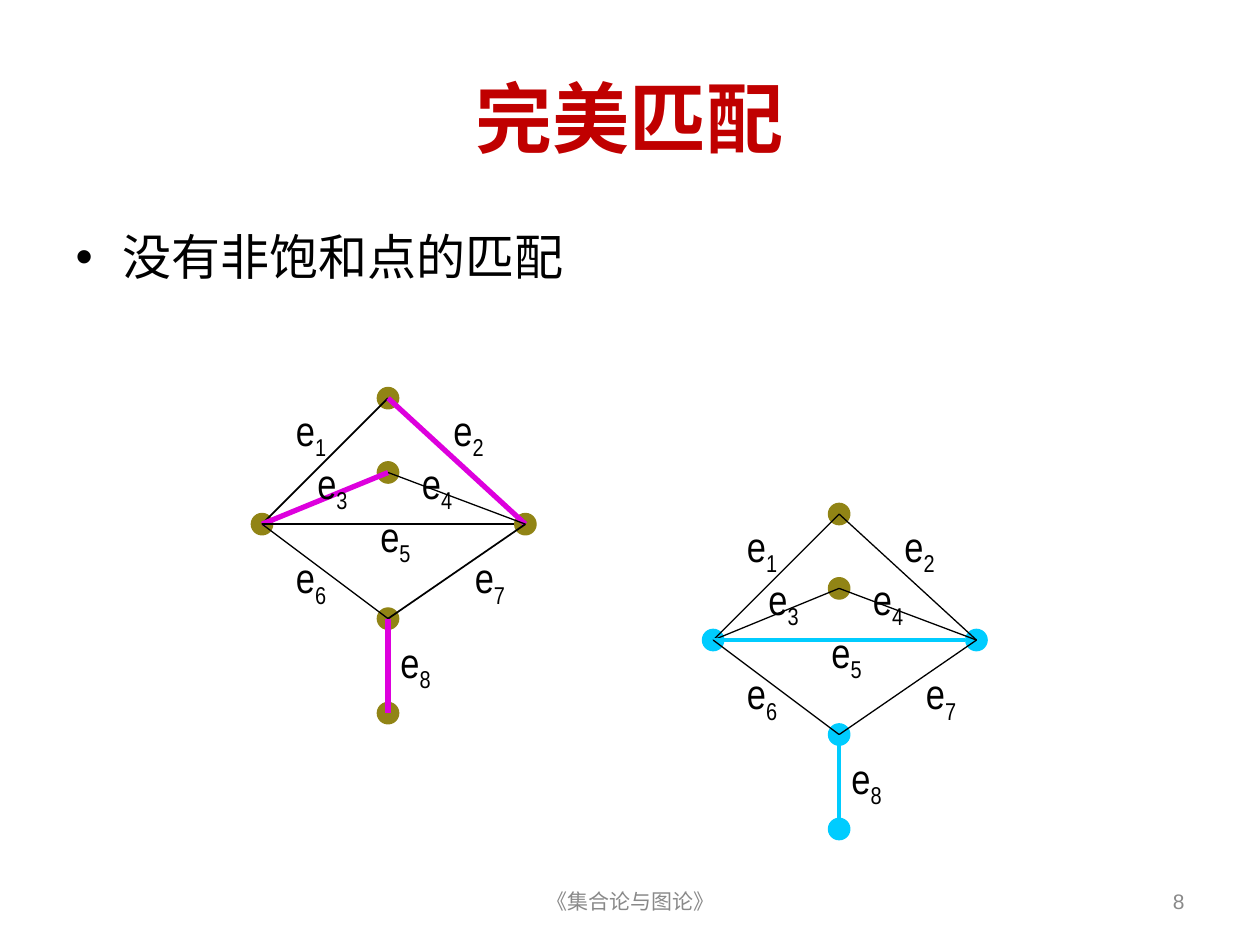
from lxml.etree import SubElement
from pptx import Presentation
from pptx.dml.color import RGBColor
from pptx.enum.shapes import MSO_CONNECTOR, MSO_SHAPE
from pptx.enum.text import MSO_ANCHOR, MSO_AUTO_SIZE, PP_ALIGN
from pptx.oxml.ns import qn
from pptx.util import Inches, Pt

BLACK, OLIVE, MAGENTA, CYAN, GREY = "000000", "918415", "DD00DD", "00CCFF", "898989"
NODE_SIZE = 0.17
NODES = {"top": (1.08, 0.08), "middle": (1.08, 0.67), "left": (0.08, 1.08),
         "right": (2.17, 1.08), "bottom": (1.08, 1.83), "tail": (1.08, 2.58)}
POINTS = {**NODES, "right_rim": (2.08, 1.08)}
EDGES = {1: ("left", "top"), 2: ("right", "top"), 3: ("left", "middle"),
         4: ("right", "middle"), 5: ("left", "right_rim"), 6: ("bottom", "left"),
         7: ("bottom", "right"), 8: ("bottom", "tail")}
LABELS = {1: (0.25, 0.08), 2: (1.5, 0.08), 3: (0.42, 0.5), 4: (1.25, 0.5),
          5: (0.92, 0.92), 6: (0.25, 1.25), 7: (1.67, 1.25), 8: (1.08, 1.92)}


def rgb(value):
    """Turn a hex string into a colour."""
    return RGBColor.from_string(value)


def place(element, left, top, width, height):
    """Position and size an element in inches."""
    element.left, element.top = Inches(left), Inches(top)
    element.width, element.height = Inches(width), Inches(height)


def style(paragraph, size, font_name, color, bold=False):
    """Set the font of a whole paragraph."""
    font = paragraph.font
    font.size, font.name, font.bold = Pt(size), font_name, bold
    font.color.rgb = rgb(color)


def fill_placeholder(placeholder, box, text, size, color, bold=False):
    """Move a placeholder and give it one formatted paragraph."""
    place(placeholder, *box)
    placeholder.text_frame.text = text
    paragraph = placeholder.text_frame.paragraphs[0]
    paragraph.space_before = Pt(0)
    style(paragraph, size, "Calibri", color, bold)


def add_footer(slide, box, text, alignment):
    """Add a small grey line of text at the foot of the slide."""
    footer = slide.shapes.add_textbox(*map(Inches, box))
    frame = footer.text_frame
    frame.word_wrap = True
    frame.vertical_anchor = MSO_ANCHOR.MIDDLE
    frame.text = text
    frame.paragraphs[0].alignment = alignment
    style(frame.paragraphs[0], 12, "Arial", GREY)


def add_node(graph, x, y, color):
    """Add a round vertex centred on a point."""
    corner = Inches(x - NODE_SIZE / 2), Inches(y - NODE_SIZE / 2)
    node = graph.shapes.add_shape(MSO_SHAPE.OVAL, *corner,
                                  Inches(NODE_SIZE), Inches(NODE_SIZE))
    node.shadow.inherit = False
    node.fill.solid()
    node.fill.fore_color.rgb = rgb(color)
    node.line.color.rgb = rgb(color)
    node.line.width = Pt(0.75)


def add_edge(graph, start, end, color, weight):
    """Add a straight edge between two points."""
    edge = graph.shapes.add_connector(MSO_CONNECTOR.STRAIGHT, *map(Inches, (*start, *end)))
    edge.line.color.rgb = rgb(color)
    edge.line.width = Pt(weight)
    SubElement(edge._element.spPr, qn("a:effectLst"))


def add_label(graph, x, y, number):
    """Add an edge name with its number as a subscript."""
    label = graph.shapes.add_textbox(*map(Inches, (x, y, 0.5, 0.56)))
    frame = label.text_frame
    frame.word_wrap = True
    frame.auto_size = MSO_AUTO_SIZE.SHAPE_TO_FIT_TEXT
    paragraph = frame.paragraphs[0]
    paragraph.add_run().text = "e"
    subscript = paragraph.add_run()
    subscript.text = str(number)
    subscript._r.get_or_add_rPr().set("baseline", "-25000")
    style(paragraph, 24, "Arial Narrow", BLACK)


def add_graph(slide, left, top, node_colors, edge_styles):
    """Add the graph at a corner, with its own node and edge styles."""
    graph = slide.shapes.add_group_shape()

    def shift(point):
        """Move a graph point to its place on the slide."""
        return left + point[0], top + point[1]

    for name, point in NODES.items():
        add_node(graph, *shift(point), node_colors.get(name, OLIVE))
    for number, (start, end) in EDGES.items():
        color, weight = edge_styles.get(number, (BLACK, 0.75))
        add_edge(graph, shift(POINTS[start]), shift(POINTS[end]), color, weight)
    for number, point in LABELS.items():
        add_label(graph, *shift(point), number)


def main():
    """Build the slide and save it."""
    deck = Presentation()
    deck.slide_width, deck.slide_height = Inches(10), Inches(7.5)
    slide = deck.slides.add_slide(deck.slide_layouts[1])
    fill_placeholder(slide.shapes.title, (0.5, 0.3, 9, 1.25), "完美匹配", 44, "C00000", True)
    fill_placeholder(slide.placeholders[1], (0.5, 1.75, 9, 4.95),
                     "没有非饱和点的匹配", 28, BLACK)
    add_footer(slide, (3.42, 6.95, 3.17, 0.4), "《集合论与图论》", PP_ALIGN.CENTER)
    add_footer(slide, (7.17, 6.95, 2.33, 0.4), "8", PP_ALIGN.RIGHT)

    perfect_matching = dict.fromkeys((2, 3, 8), (MAGENTA, 3))
    medium_edges = dict.fromkeys((1, 7), (BLACK, 1))
    add_graph(slide, 2, 3.08, {}, {**perfect_matching, **medium_edges})

    saturated = dict.fromkeys(("left", "right", "bottom", "tail"), CYAN)
    add_graph(slide, 5.58, 4, saturated, dict.fromkeys((5, 8), (CYAN, 2.25)))
    deck.save("out.pptx")


if __name__ == "__main__":
    main()
